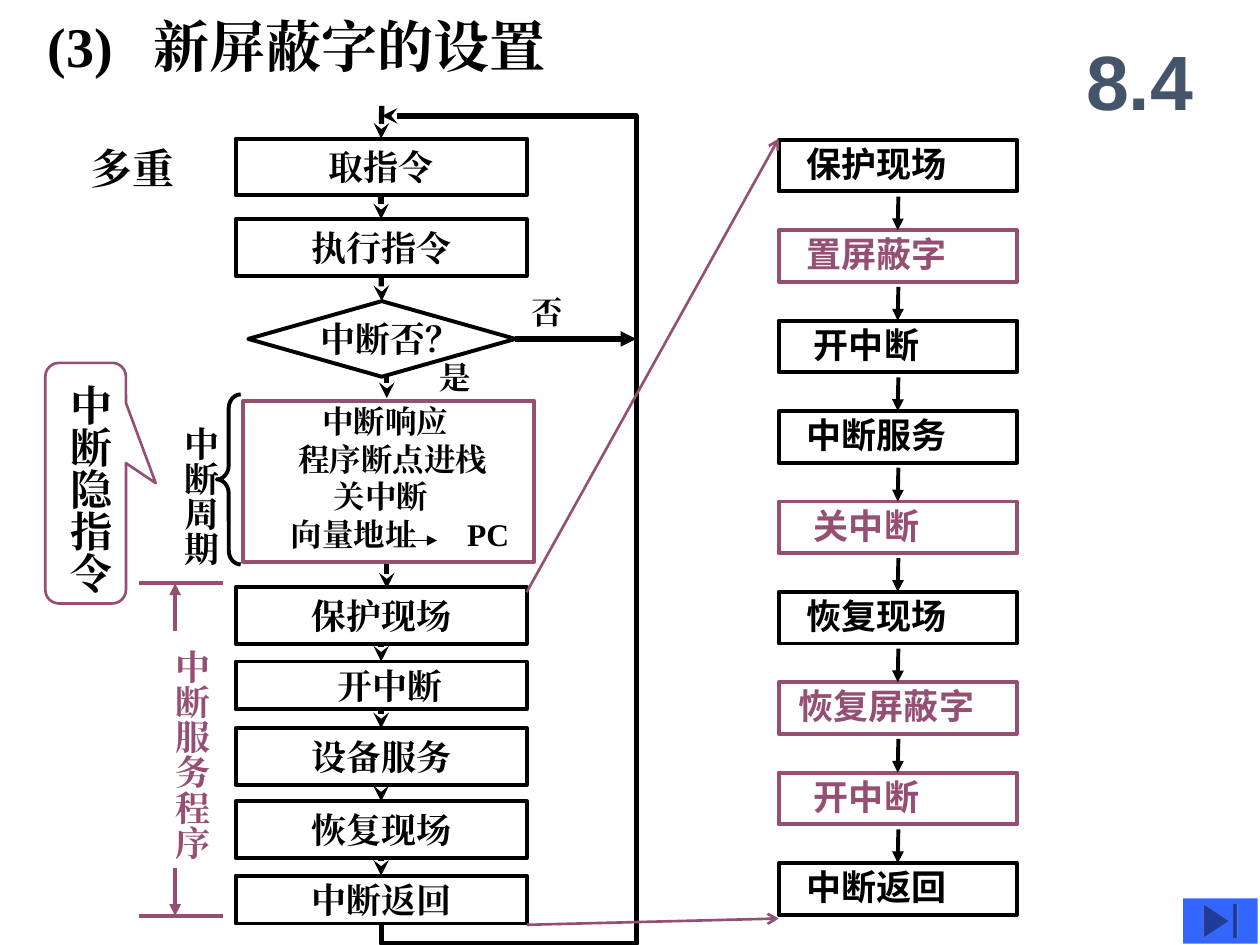
from itertools import pairwise

from lxml.etree import SubElement as Sub
from pptx import Presentation
from pptx.dml.color import RGBColor as RGB
from pptx.enum.shapes import MSO_CONNECTOR as Conn, MSO_SHAPE as Kind
from pptx.enum.text import MSO_ANCHOR as Anchor, PP_ALIGN as Align
from pptx.oxml.ns import qn
from pptx.util import Inches, Pt

BLACK = RGB(0x00, 0x00, 0x00)
PLUM = RGB(0x95, 0x4F, 0x72)
SLATE = RGB(0x44, 0x54, 0x6A)
BLUE = RGB(0x33, 0x66, 0xFF)
SERIF, SANS, CJK = "Times New Roman", "Arial", "Noto Sans CJK SC"
TOP, BOTTOM, RIGHT = 0, 2, 3


class Chart:
    """Draws flow chart parts on one slide in a shared style."""

    def __init__(self, slide):
        self.slide = slide
        self.shapes = slide.shapes

    def frame(self, shape, pads, anchor=Anchor.TOP, wrap=False):
        frame = shape.text_frame
        frame.word_wrap = wrap
        frame.vertical_anchor = anchor
        (frame.margin_left, frame.margin_top,
         frame.margin_right, frame.margin_bottom) = map(Inches, pads)
        return frame

    def run(self, para, text, size=20, color=BLACK, font=SERIF):
        run = para.add_run()
        run.text = text
        run.font.size = Pt(size)
        run.font.bold = True
        run.font.name = font
        run.font.color.rgb = color
        Sub(run._r.get_or_add_rPr(), qn("a:ea"), typeface=font)

    def tab(self, para, pos):
        tabs = Sub(para._p.get_or_add_pPr(), qn("a:tabLst"))
        Sub(tabs, qn("a:tab"), pos=str(Inches(pos)), algn="l")

    def stack(self, frame):
        """Set the text upright, one character below another."""
        frame._txBody.bodyPr.set("vert", "eaVert")

    def text(self, box, pads=(0.1, 0.05, 0.1, 0.05), **opts):
        return self.frame(self.shapes.add_textbox(*map(Inches, box)), pads, **opts)

    def label(self, box, text, size=20):
        self.run(self.text(box).paragraphs[0], text, size)

    def column(self, box, text, color=BLACK):
        frame = self.text(box, (0.05, 0.1, 0.05, 0.1))
        self.stack(frame)
        self.run(frame.paragraphs[0], text, color=color)

    def shape(self, kind, box, color=BLACK, width=2.25):
        shape = self.shapes.add_shape(kind, *map(Inches, box))
        shape.shadow.inherit = False
        shape.fill.background()
        shape.line.color.rgb = color
        shape.line.width = Pt(width)
        return shape

    def step(self, box, text, kind=Kind.RECTANGLE, shift=0):
        """Add a centred step; shift moves its text to the right."""
        shape = self.shape(kind, box)
        frame = self.frame(shape, (2 * shift, 0, 0, 0), Anchor.MIDDLE)
        para = frame.paragraphs[0]
        para.alignment = Align.CENTER
        self.run(para, text)
        return shape

    def tip(self, shape, head):
        """Put an arrowhead at the end of a line that is already styled."""
        if head:
            Sub(shape._element.spPr.find(qn("a:ln")), qn("a:tailEnd"), type=head)

    def line(self, start, end, color=BLACK, width=2.25, head=None):
        link = self.shapes.add_connector(
            Conn.STRAIGHT, *map(Inches, (*start, *end)))
        link.line.color.rgb = color
        link.line.width = Pt(width)
        self.tip(link, head)
        Sub(link._element.spPr, qn("a:effectLst"))
        return link

    def join(self, first, second):
        link = self.line((0, 0), (1, 1), width=3, head="stealth")
        link.begin_connect(first, BOTTOM)
        link.end_connect(second, TOP)

    def route(self, points, head):
        start, *rest = [tuple(map(Inches, point)) for point in points]
        pen = self.shapes.build_freeform(*start)
        pen.add_line_segments(rest, close=False)
        shape = pen.convert_to_shape()
        shape.shadow.inherit = False
        shape.fill.background()
        shape.line.color.rgb = BLACK
        shape.line.width = Pt(3)
        self.tip(shape, head)


def title(chart):
    frame = chart.text((8.42, 0.17, 1.25, 0.92), anchor=Anchor.MIDDLE, wrap=True)
    para = frame.paragraphs[0]
    para.alignment = Align.CENTER
    chart.run(para, "8.4", 44, SLATE, SANS)
    frame = chart.text((0.38, 0.12, 7.8, 0.47), (0, 0, 0, 0), anchor=Anchor.MIDDLE)
    para = frame.paragraphs[0]
    chart.tab(para, 0.84)
    chart.run(para, "(3)\t新屏蔽字的设置", 32)
    chart.label((0.62, 1.08, 1.16, 0.5), "多重", 24)


def detail(chart):
    """Add the right column, the service routine step by step."""
    steps = [
        ("保护现场", 0.22, BLACK), ("置屏蔽字", 0.22, PLUM),
        ("开中断", 0.28, BLACK), ("中断服务", 0.22, BLACK),
        ("关中断", 0.28, PLUM), ("恢复现场", 0.22, BLACK),
        ("恢复屏蔽字", 0.16, PLUM), ("开中断", 0.28, PLUM),
        ("中断返回", 0.22, BLACK),
    ]
    pitch, high = 5.74 / 8, 0.41
    for i, (text, pad, color) in enumerate(steps):
        y = 1.11 + i * pitch
        box = chart.shape(Kind.RECTANGLE, (6.18, y, 1.89, high), color)
        frame = chart.frame(box, (pad, 0.02, 0, 0.05), wrap=True)
        para = frame.paragraphs[0]
        para.alignment = Align.LEFT
        chart.run(para, text, color=color, font=CJK)
        if i:
            link = chart.line((7.13, y - pitch + high + 0.04), (7.13, y),
                              head="triangle")
            link.end_connect(box, TOP)


def main_flow(chart):
    x, wide = 1.87, 2.31
    fetch = chart.step((x, 1.1, wide, 0.45), "取指令")
    run = chart.step((x, 1.74, wide, 0.45), "执行指令")
    test = chart.step((1.97, 2.39, 2.12, 0.6), "中断否？", Kind.DIAMOND, 0.07)
    save = chart.step((x, 4.66, wide, 0.45), "保护现场")
    allow = chart.step((x, 5.25, wide, 0.38), "开中断", shift=0.07)
    serve = chart.step((x, 5.78, wide, 0.45), "设备服务")
    load = chart.step((x, 6.36, wide, 0.45), "恢复现场")
    back = chart.step((x, 6.95, wide, 0.38), "中断返回")
    for chain in ((fetch, run, test), (save, allow, serve, load, back)):
        for pair in pairwise(chain):
            chart.join(*pair)

    entry = chart.line((3.03, 0.84), (3.03, 1.1), width=3, head="stealth")
    entry.end_connect(fetch, TOP)
    for y, end in ((2.98, 3.16), (4.45, 4.67)):
        chart.line((3.07, y), (3.07, end), width=3, head="stealth")
    chart.route([(3.03, 7.32), (3.03, 7.49), (5.05, 7.49),
                 (5.05, 0.92), (3.03, 0.92)], "stealth")
    skip = chart.line((4.09, 2.69), (5.05, 2.69), width=3, head="triangle")
    skip.begin_connect(test, RIGHT)
    chart.label((4.12, 2.28, 0.45, 0.4), "否", 18)
    chart.label((3.39, 2.79, 0.45, 0.4), "是", 18)


def cycle(chart):
    """Add the interrupt cycle with its brace and callout."""
    chart.shape(Kind.RECTANGLE, (1.93, 3.18, 2.31, 1.28), PLUM)
    frame = chart.text((2.21, 3.14, 1.93, 1.34))
    lines = [("中断响应", 0.25), ("程序断点进栈", 0.06),
             ("关中断", 0.34), ("向量地址\tPC", 0)]
    for i, (text, indent) in enumerate(lines):
        para = frame.add_paragraph() if i else frame.paragraphs[0]
        para._p.get_or_add_pPr().set("marL", str(Inches(indent)))
        if "\t" in text:
            chart.tab(para, 1.4)
        chart.run(para, text, 18)
    chart.line((3.19, 4.29), (3.47, 4.29), width=0.75, head="triangle")

    chart.column((1.28, 3.29, 0.53, 1.22), "中断周期")
    brace = chart.shape(Kind.LEFT_BRACE, (1.72, 3.13, 0.19, 1.35))
    brace.adjustments[0] = 0.58
    note = chart.shape(Kind.ROUNDED_RECTANGULAR_CALLOUT,
                       (0.36, 2.88, 0.64, 1.91), PLUM, 1.5)
    for i, value in enumerate((0.87, 0, 0.17)):
        note.adjustments[i] = value
    frame = chart.frame(note, (0.05, 0.14, 0.05, 0.06))
    chart.stack(frame)
    para = frame.paragraphs[0]
    para.alignment = Align.LEFT
    chart.run(para, "中断隐指令", 24)


def span(chart):
    """Mark the service routine and tie it to the right column."""
    for y, inner in ((4.63, 5.01), (7.27, 6.89)):
        chart.line((1.77, y), (1.1, y), PLUM)
        chart.line((1.39, inner), (1.39, y), PLUM, head="triangle")
    chart.column((1.21, 5.06, 0.53, 1.77), "中断服务程序", PLUM)
    for start, end in (((4.18, 4.7), (6.18, 1.1)), ((4.18, 7.34), (6.18, 7.29))):
        chart.line(start, end, PLUM, 1.5, "arrow")


def button(chart):
    shape = chart.shape(Kind.ACTION_BUTTON_END, (9.39, 7.13, 0.59, 0.36))
    shape.fill.solid()
    shape.fill.fore_color.rgb = BLUE
    shape.line.fill.background()


def main():
    deck = Presentation()
    deck.slide_width, deck.slide_height = Inches(10), Inches(7.5)
    chart = Chart(deck.slides.add_slide(deck.slide_layouts[6]))
    for part in (title, detail, main_flow, cycle, span, button):
        part(chart)
    deck.save("out.pptx")


if __name__ == "__main__":
    main()
